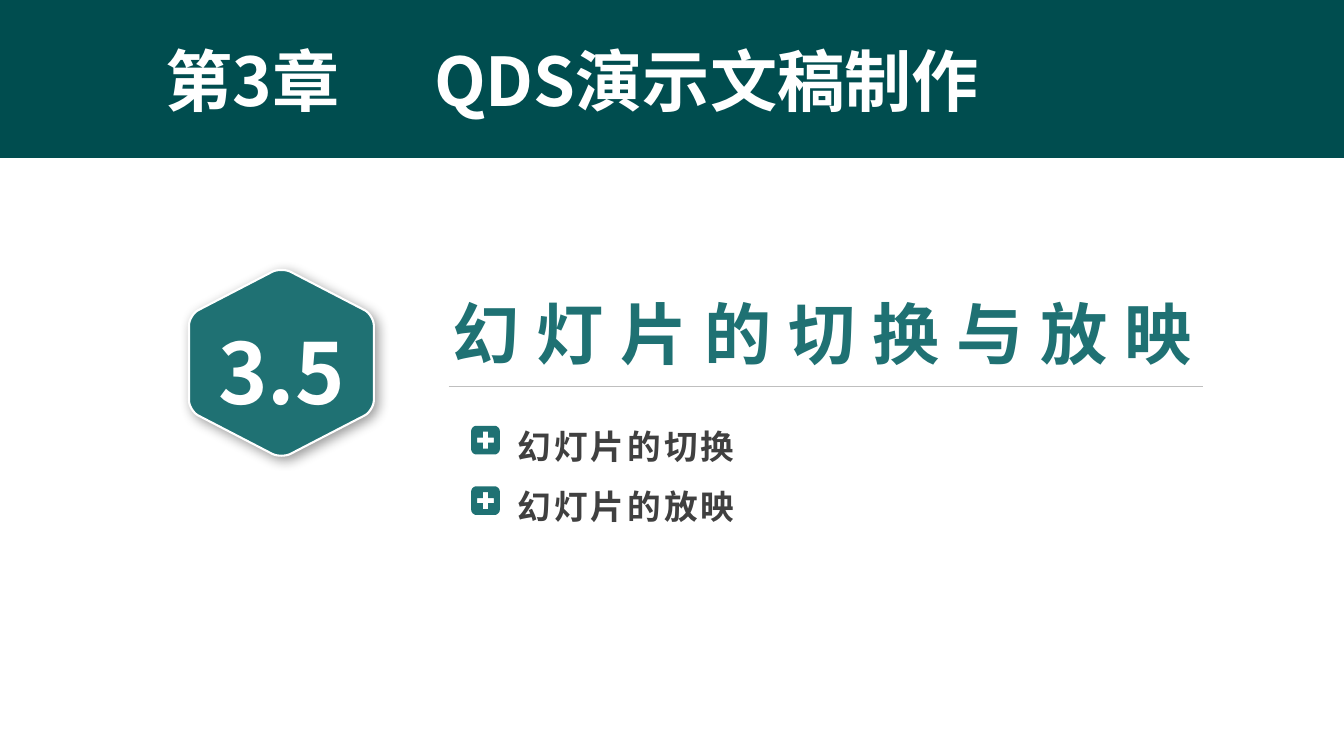
from lxml.etree import SubElement
from pptx import Presentation
from pptx.dml.color import RGBColor
from pptx.enum.shapes import MSO_CONNECTOR, MSO_SHAPE
from pptx.enum.text import MSO_ANCHOR, MSO_AUTO_SIZE, PP_ALIGN
from pptx.oxml.ns import qn
from pptx.util import Inches, Pt

WHITE = RGBColor(0xFF, 0xFF, 0xFF)
DARK = RGBColor(0x00, 0x4D, 0x4F)
TEAL = RGBColor(0x1F, 0x71, 0x73)
INK = RGBColor(0x40, 0x40, 0x40)
GREY = RGBColor(0xBF, 0xBF, 0xBF)
FONT = "Noto Sans CJK SC"
COLS, ROWS = 16, 9
CELL = Inches(7.5) // ROWS
WIDE, SLIM = (0.12, 0.06), (0.05, 0.02)  # text margins in cells


def cells(*values):
    return [round(v * CELL) for v in values]


def soften(corners, cut):
    """Replace each corner by a short curve starting `cut` cells before it."""
    points = []
    for i, (x, y) in enumerate(corners):
        ends = []
        for u, v in (corners[i - 1], corners[(i + 1) % len(corners)]):
            part = cut / ((u - x) ** 2 + (v - y) ** 2) ** 0.5
            ends.append((x + (u - x) * part, y + (v - y) * part))
        (ax, ay), (bx, by) = ends
        for step in range(9):
            t = step / 8
            a = (1 - t) ** 3 + 1.5 * t * (1 - t) ** 2
            b = t ** 3 + 1.5 * t ** 2 * (1 - t)
            points.append((a * ax + b * bx + (1 - a - b) * x,
                           a * ay + b * by + (1 - a - b) * y))
    return points


class Deck:
    def __init__(self):
        self.file = Presentation()
        self.file.slide_width, self.file.slide_height = cells(COLS, ROWS)
        self.slide = self.file.slides.add_slide(self.file.slide_layouts[5])
        self.shapes = self.slide.shapes

    def letter(self, shape, lines, size, color, pad=WIDE, align=PP_ALIGN.LEFT,
               space=1.0, track=0, tab=None):
        """Fill a shape with styled lines of text."""
        frame = shape.text_frame
        frame.text = "\n".join(lines)
        frame.word_wrap = True
        frame.auto_size = MSO_AUTO_SIZE.NONE
        frame.vertical_anchor = MSO_ANCHOR.TOP
        frame.margin_left = frame.margin_right = cells(pad[0])[0]
        frame.margin_top = frame.margin_bottom = cells(pad[1])[0]
        for line in frame.paragraphs:
            line.alignment, line.line_spacing = align, space
            if tab:
                stops = SubElement(line._p.get_or_add_pPr(), qn("a:tabLst"))
                SubElement(stops, qn("a:tab"), pos=str(cells(tab)[0]), algn="l")
            for run in line.runs:
                font = run.font
                font.name, font.size, font.bold = FONT, Pt(size), True
                font.color.rgb = color
                props = run._r.get_or_add_rPr()
                props.set("spc", str(round(track * 100)))
                SubElement(props, qn("a:ea"), typeface=FONT)
        return shape

    def title(self, box, text, **style):
        shape = self.shapes.title
        shape.left, shape.top, shape.width, shape.height = cells(*box)
        return self.letter(shape, [text], **style)

    def text(self, box, *lines, **style):
        return self.letter(self.shapes.add_textbox(*cells(*box)), lines, **style)

    def paint(self, shape, fill):
        shape.shadow.inherit = False
        shape.fill.solid()
        shape.fill.fore_color.rgb = fill
        shape.line.fill.background()
        return shape

    def band(self, box, fill):
        bar = self.shapes.add_shape(MSO_SHAPE.RECTANGLE, *cells(*box))
        return self.paint(bar, fill)

    def outline(self, x, y, fill, *rings):
        """Draw closed rings of points around (x, y); inner rings are holes."""
        pen = None
        for ring in rings:
            first, *rest = [cells(x + u, y + v) for u, v in ring]
            if pen is None:
                pen = self.shapes.build_freeform(*first, scale=1.0)
            else:
                pen.move_to(*first)
            pen.add_line_segments(rest, close=True)
        return self.paint(pen.convert_to_shape(), fill)

    def rule(self, x, y, end, color):
        line = self.shapes.add_connector(MSO_CONNECTOR.STRAIGHT,
                                         *cells(x, y, end, y))
        line.line.color.rgb, line.line.width = color, Pt(0.5)
        SubElement(line._element.spPr, qn("a:effectLst"))

    def hexagon(self, x, y, label):
        half, tip, side = 1.1, 1.14, 0.57
        corners = [(half, -side), (half, side), (0, tip),
                   (-half, side), (-half, -side), (0, -tip)]
        shape = self.outline(x, y, TEAL, soften(corners, 0.12))
        shape.line.color.rgb, shape.line.width = WHITE, Pt(1.5)
        effects = shape._element.spPr.find(qn("a:effectLst"))
        cast = SubElement(effects, qn("a:outerShdw"), blurRad=str(Pt(9)),
                          dist=str(Pt(3)), dir="2700000", rotWithShape="0")
        tint = SubElement(cast, qn("a:srgbClr"), val="000000")
        SubElement(tint, qn("a:alpha"), val="40000")
        number = self.text((x - 0.92, y - 0.56, 1.84, 1.33), label, size=60,
                           color=WHITE, align=PP_ALIGN.CENTER)
        self.shapes.add_group_shape([shape, number])

    def badge(self, x, y):
        half, arm, thin = 0.17, 0.1, 0.03
        square = [(-half, -half), (half, -half), (half, half), (-half, half)]
        plus = [(thin, -arm), (-thin, -arm), (-thin, -thin), (-arm, -thin),
                (-arm, thin), (-thin, thin), (-thin, arm), (thin, arm),
                (thin, thin), (arm, thin), (arm, -thin), (thin, -thin)]
        self.outline(x, y, TEAL, soften(square, 0.06), plus)


def main():
    deck = Deck()
    deck.band((0, 0, COLS, 1.88), DARK)
    deck.text((1.85, 0.41, 12.59, 1.09), "第3章\tQDS演示文稿制作",
              size=48, color=WHITE, tab=3.2)
    deck.hexagon(3.35, 4.32, "3.5")
    deck.title((5.34, 3.46, 10.57, 1.02), "幻灯片的切换与放映",
               size=48, color=TEAL, pad=SLIM, track=12)
    deck.rule(5.34, 4.6, 14.32, GREY)
    topics = ["幻灯片的切换", "幻灯片的放映"]
    deck.text((6.11, 4.81, 7.27, 1.39), *topics, size=24, color=INK,
              pad=SLIM, space=1.5, track=2.2)
    for row in range(len(topics)):
        deck.badge(5.78, 5.24 + 0.72 * row)
    deck.file.save("out.pptx")


if __name__ == "__main__":
    main()
